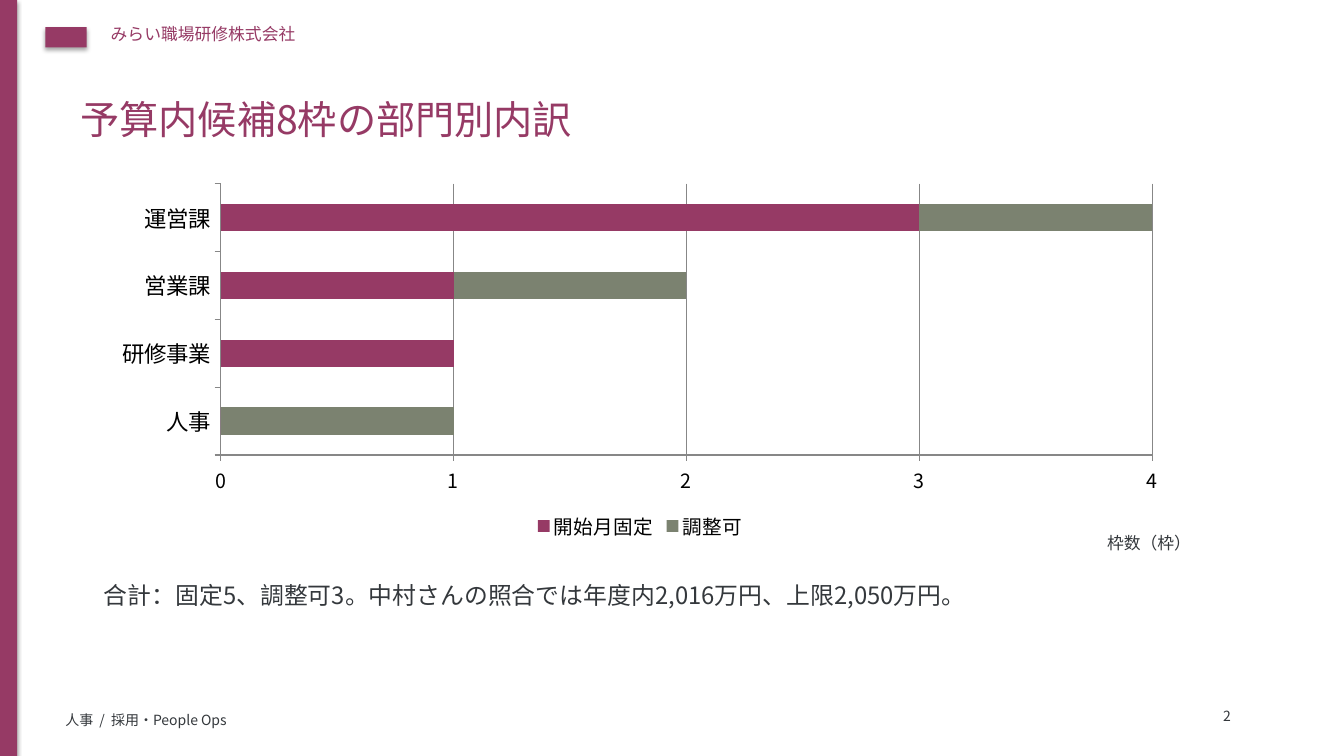
from lxml import etree
from pptx import Presentation
from pptx.chart.data import CategoryChartData
from pptx.dml.color import RGBColor
from pptx.enum import chart as charts, shapes, text
from pptx.oxml import ns
from pptx.util import Inches, Pt

FONT = "Noto Sans CJK JP"
PLUM, SAGE, INK = "963A65", "7B8270", "34383C"
SLIM = (0.03, 0.01)


def color(value):
    """Turn a hex string into a colour."""
    return RGBColor.from_string(value)


def style_font(font, size, tint):
    """Set the face for Latin and Japanese text, the size and the colour."""
    font.size = Pt(size)
    font.color.rgb = color(tint)
    font.name = FONT
    latin = font._element.find(ns.qn("a:latin"))
    east_asian = etree.Element(ns.qn("a:ea"), typeface=FONT)
    latin.addnext(east_asian)


def add_text(slide, content, box, size=12, tint=INK, inset=(0.1, 0.05)):
    """Add one line of text in a box given in inches."""
    frame = slide.shapes.add_textbox(*map(Inches, box)).text_frame
    frame.word_wrap = True
    frame.vertical_anchor = text.MSO_ANCHOR.TOP
    frame.margin_left = frame.margin_right = Inches(inset[0])
    frame.margin_top = frame.margin_bottom = Inches(inset[1])
    run = frame.paragraphs[0].add_run()
    run.text = content
    style_font(run.font, size, tint)


def add_block(slide, box, fill):
    """Add a plain rectangle that keeps the theme shadow."""
    block = slide.shapes.add_shape(shapes.MSO_SHAPE.RECTANGLE, *map(Inches, box))
    block.fill.solid()
    block.fill.fore_color.rgb = color(fill)
    block.line.fill.background()


def add_slot_chart(slide, box, departments, slots):
    """Add the stacked bars of slots per department."""
    data = CategoryChartData()
    data.categories = departments
    for name, (counts, _) in slots.items():
        data.add_series(name, counts)
    chart = slide.shapes.add_chart(
        charts.XL_CHART_TYPE.BAR_STACKED, *map(Inches, box), data).chart
    chart.has_title = False
    style_font(chart.font, 18, "000000")

    plot = chart.plots[0]
    plot.vary_by_categories = False
    plot.gap_width = 150
    plot.overlap = 100
    for series, (_, fill) in zip(plot.series, slots.values()):
        series.format.fill.solid()
        series.format.fill.fore_color.rgb = color(fill)

    style_font(chart.category_axis.tick_labels.font, 16, "000000")
    count_axis = chart.value_axis
    count_axis.minimum_scale, count_axis.maximum_scale = 0, 4
    count_axis.major_unit = 1
    count_axis.has_major_gridlines = True
    style_font(count_axis.tick_labels.font, 14, "000000")

    chart.has_legend = True
    chart.legend.position = charts.XL_LEGEND_POSITION.BOTTOM
    chart.legend.include_in_layout = False
    style_font(chart.legend.font, 14, "000000")


def main():
    """Build the slide and save it."""
    deck = Presentation()
    deck.slide_width, deck.slide_height = Inches(13.33), Inches(7.5)
    slide = deck.slides.add_slide(deck.slide_layouts[6])

    add_block(slide, (0, 0, 0.17, 7.5), PLUM)
    add_block(slide, (0.45, 0.27, 0.41, 0.2), PLUM)
    add_text(slide, "みらい職場研修株式会社", (1, 0.19, 8, 0.4), tint=PLUM)
    add_text(slide, "人事  /  採用・People Ops", (0.55, 7.01, 10, 0.3), size=10)
    add_text(slide, "予算内候補8枠の部門別内訳", (0.7, 0.9, 11.8, 0.85),
             size=28, tint=PLUM)
    add_text(slide, "2", (12.1, 7.01, 0.45, 0.25), size=10, inset=SLIM)

    departments = ["人事", "研修事業", "営業課", "運営課"]
    slots = {"開始月固定": ((0, 1, 1, 3), PLUM), "調整可": ((1, 0, 1, 1), SAGE)}
    add_slot_chart(slide, (1, 1.75, 10.7, 3.65), departments, slots)
    add_text(slide, "枠数（枠）", (10.95, 5.28, 1, 0.35), inset=SLIM)
    add_text(slide,
             "合計：固定5、調整可3。中村さんの照合では年度内2,016万円、上限2,050万円。",
             (1, 5.75, 11.5, 0.7), size=17, inset=SLIM)
    deck.save("out.pptx")


if __name__ == "__main__":
    main()
